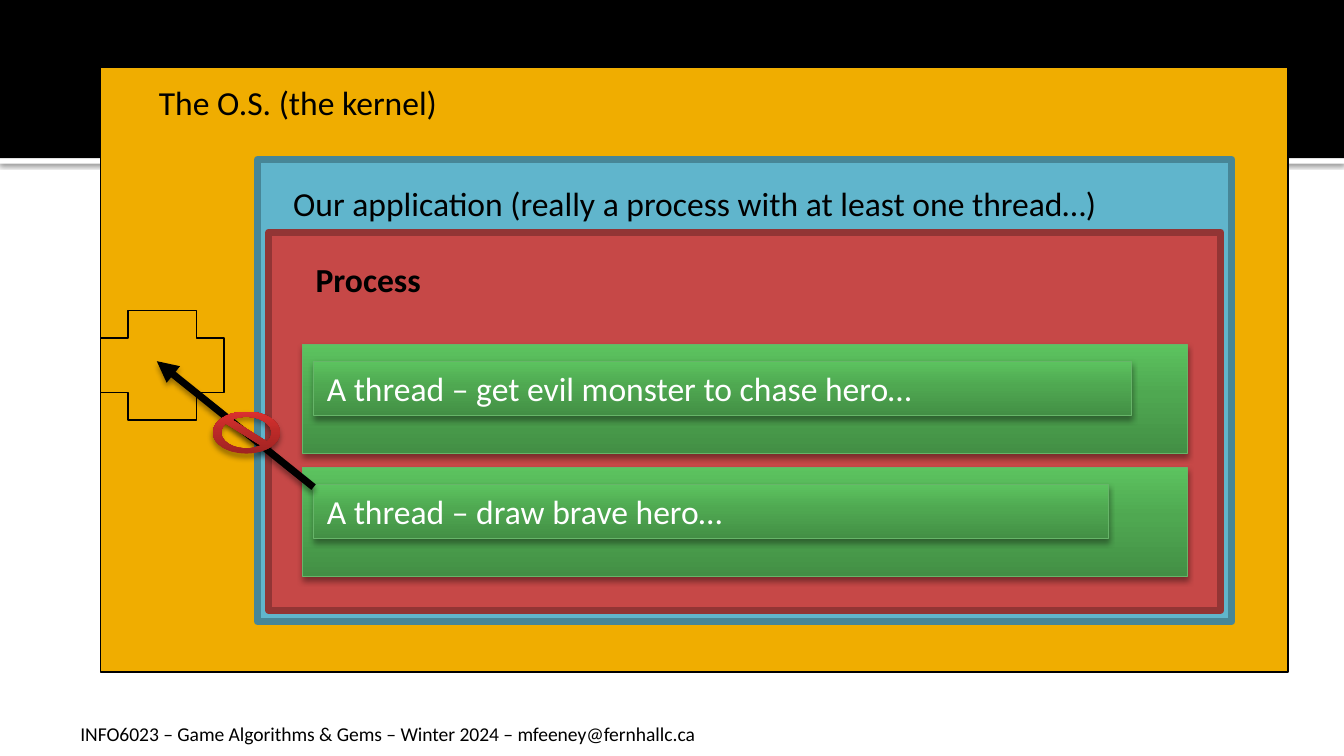
"""Build a slide showing how a process and its threads sit inside the kernel."""
from copy import deepcopy
from dataclasses import dataclass
from math import cos, radians, sin, tan
from typing import Optional

from pptx import Presentation
from pptx.dml.color import RGBColor
from pptx.enum.shapes import MSO_CONNECTOR, MSO_SHAPE
from pptx.enum.text import MSO_ANCHOR, MSO_AUTO_SIZE, PP_ALIGN
from pptx.oxml import parse_xml
from pptx.oxml.ns import nsdecls, qn
from pptx.util import Pt

PX = 9525


@dataclass(frozen=True)
class Shadow:
    blur: float
    distance: float
    opacity: int


@dataclass(frozen=True)
class Theme:
    font: str = "Calibri"
    body_size: float = 18
    footer_size: float = 10.5
    black: str = "000000"
    white: str = "FFFFFF"
    kernel: str = "F0AD00"
    application: str = "60B5CC"
    application_edge: str = "478697"
    process: str = "C64847"
    process_edge: str = "923535"
    thread_edge: str = "67B569"
    thread_stops: tuple = ("438F45", "4FA851", "5CC35F")
    ban_stops: tuple = ("A02322", "BC2A28", "DC302F")
    stop_positions: tuple = (0, 0.55, 1)
    thin: float = 0.75
    hairline: float = 0.5
    thick: float = 3.8
    soft_shadow: Shadow = Shadow(3.1, 2, 38)
    band_shadow: Shadow = Shadow(2.5, 0.8, 60)


THEME = Theme()


@dataclass(frozen=True)
class Box:
    left: int
    top: int
    width: int
    height: int

    def emu(self) -> tuple:
        return tuple(n * PX for n in (self.left, self.top, self.width, self.height))


@dataclass(frozen=True)
class Panel:
    box: Box
    fill: str | tuple
    edge: Optional[str] = None
    weight: float = 0
    shadow: Optional[Shadow] = None
    kind: MSO_SHAPE = MSO_SHAPE.RECTANGLE


@dataclass(frozen=True)
class Label:
    box: Box
    text: str
    size: float = THEME.body_size
    bold: bool = False


@dataclass(frozen=True)
class Thread:
    top: int
    text: str
    label_width: int


FRAME = [
    Panel(Box(0, 113, 960, 4), THEME.white, shadow=THEME.band_shadow),
    Panel(Box(0, 0, 960, 113), THEME.black),
    Label(Box(48, 511, 808, 27),
          "INFO6023 – Game Algorithms & Gems – Winter 2024 – mfeeney@fernhallc.ca",
          THEME.footer_size),
    Panel(Box(72, 48, 848, 432), THEME.kernel, THEME.black, THEME.thin),
    Label(Box(104, 54, 312, 39), "The O.S. (the kernel)"),
    Panel(Box(184, 114, 696, 330), THEME.application, THEME.application_edge, THEME.thick),
    Label(Box(200, 126, 664, 39),
          "Our application (really a process with at least one thread…)"),
    Panel(Box(192, 166, 680, 270), THEME.process, THEME.process_edge, THEME.thick),
    Label(Box(216, 180, 312, 39), "Process", bold=True),
]
THREADS = [
    Thread(246, "A thread – get evil monster to chase hero…", 584),
    Thread(334, "A thread – draw brave hero…", 568),
]
RESOURCE = Panel(Box(72, 222, 88, 78), THEME.kernel, THEME.black, THEME.thin,
                 kind=MSO_SHAPE.CROSS)


def add_effects(shape, shadow: Optional[Shadow]) -> None:
    effects = parse_xml(f"<a:effectLst {nsdecls('a')}/>")
    if shadow:
        effects.append(parse_xml(
            f'<a:outerShdw {nsdecls("a")} blurRad="{Pt(shadow.blur)}" '
            f'dist="{Pt(shadow.distance)}" dir="5400000" rotWithShape="0">'
            f'<a:srgbClr val="{THEME.black}"><a:alpha val="{shadow.opacity * 1000}"/>'
            "</a:srgbClr></a:outerShdw>"))
    shape._element.spPr.append(effects)


def paint(shape, fill: str | tuple, edge: Optional[str], weight: float,
          shadow: Optional[Shadow]) -> None:
    if isinstance(fill, str):
        shape.fill.solid()
        shape.fill.fore_color.rgb = RGBColor.from_string(fill)
    else:
        shape.fill.gradient()
        shape.fill.gradient_angle = 90
        stop_list = shape._element.spPr.find(".//" + qn("a:gsLst"))
        stop_list.insert(1, deepcopy(stop_list[0]))
        for stop, color, position in zip(shape.fill.gradient_stops, fill,
                                         THEME.stop_positions):
            stop.color.rgb = RGBColor.from_string(color)
            stop.position = position
    if edge:
        shape.line.color.rgb = RGBColor.from_string(edge)
        shape.line.width = Pt(weight)
    else:
        shape.line.fill.background()
    add_effects(shape, shadow)


def add_panel(shapes, panel: Panel):
    shape = shapes.add_shape(panel.kind, *panel.box.emu())
    paint(shape, panel.fill, panel.edge, panel.weight, panel.shadow)
    return shape


def write(shape, text: str, size: float, color: str, bold: bool = False) -> None:
    frame = shape.text_frame
    frame.word_wrap = True
    frame.auto_size = MSO_AUTO_SIZE.SHAPE_TO_FIT_TEXT
    frame.vertical_anchor = MSO_ANCHOR.TOP
    para = frame.paragraphs[0]
    para.text = text
    para.alignment = PP_ALIGN.LEFT
    para.font.name = THEME.font
    para.font.size = Pt(size)
    para.font.bold = bold
    para.font.color.rgb = RGBColor.from_string(color)


def add_thread(shapes, thread: Thread) -> None:
    group = shapes.add_group_shape()
    boxes = (Box(216, thread.top, 632, 78),
             Box(224, thread.top + 12, thread.label_width, 39))
    body, label = [add_panel(group.shapes, Panel(box, THEME.thread_stops, THEME.thread_edge,
                                                 THEME.hairline, THEME.soft_shadow))
                   for box in boxes]
    write(label, thread.text, THEME.body_size, THEME.white)


def add_arrow(shapes, start: tuple[int, int], end: tuple[int, int]) -> None:
    arrow = shapes.add_connector(MSO_CONNECTOR.STRAIGHT, *(n * PX for n in start + end))
    arrow.line.color.rgb = RGBColor.from_string(THEME.black)
    arrow.line.width = Pt(THEME.thick)
    arrow.line._get_or_add_ln().append(
        parse_xml(f'<a:tailEnd {nsdecls("a")} type="triangle"/>'))
    add_effects(arrow, THEME.soft_shadow)


def add_ban_sign(shapes, box: Box) -> None:
    def arc(first: int, sweep: int, curves: int, ratio: float) -> list[tuple[float, float]]:
        step = radians(sweep / curves)
        pull = 4 / 3 * tan(step / 4)
        points = []
        for index in range(curves + 1):
            angle = radians(first) + index * step
            for side in (-pull, 0, pull):
                across = cos(angle) - side * sin(angle)
                down = sin(angle) + side * cos(angle)
                points.append(((box.left + box.width / 2 * (1 + ratio * across)) * PX,
                               (box.top + box.height / 2 * (1 + ratio * down)) * PX))
        return points[1:-1]

    outer, *openings = arc(180, 360, 4, 1), arc(-125, 160, 3, 0.75), arc(55, 160, 3, 0.75)
    builder = shapes.build_freeform(*outer[0])
    builder.add_line_segments(outer[1:])
    for opening in openings:
        builder.move_to(*opening[0])
        builder.add_line_segments(opening[1:])
    sign = builder.convert_to_shape()
    lines = list(sign._element.spPr.iter(qn("a:lnTo")))
    for first, second, third in zip(lines[::3], lines[1::3], lines[2::3]):
        curve = parse_xml(f'<a:cubicBezTo {nsdecls("a")}/>')
        first.addprevious(curve)
        for line in (first, second, third):
            curve.append(line[0])
            line.getparent().remove(line)
    paint(sign, THEME.ban_stops, None, 0, THEME.soft_shadow)


def main() -> None:
    deck = Presentation()
    deck.slide_width, deck.slide_height = 960 * PX, 540 * PX
    shapes = deck.slides.add_slide(deck.slide_layouts[6]).shapes
    for item in FRAME:
        if isinstance(item, Panel):
            add_panel(shapes, item)
        else:
            write(shapes.add_textbox(*item.box.emu()), item.text, item.size,
                  THEME.black, item.bold)
    for thread in THREADS:
        add_thread(shapes, thread)
    add_panel(shapes, RESOURCE)
    add_arrow(shapes, (224, 348), (112, 258))
    add_ban_sign(shapes, Box(152, 294, 48, 30))
    deck.save("out.pptx")


if __name__ == "__main__":
    main()
